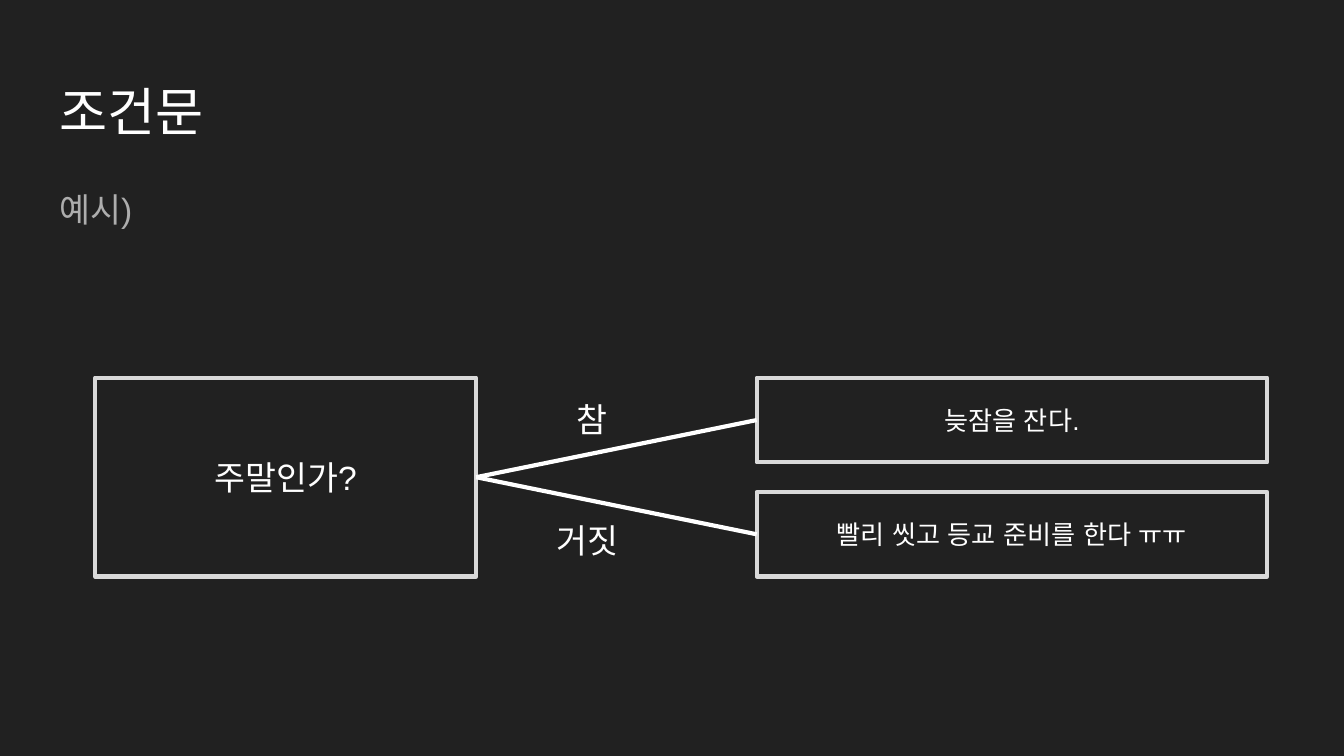
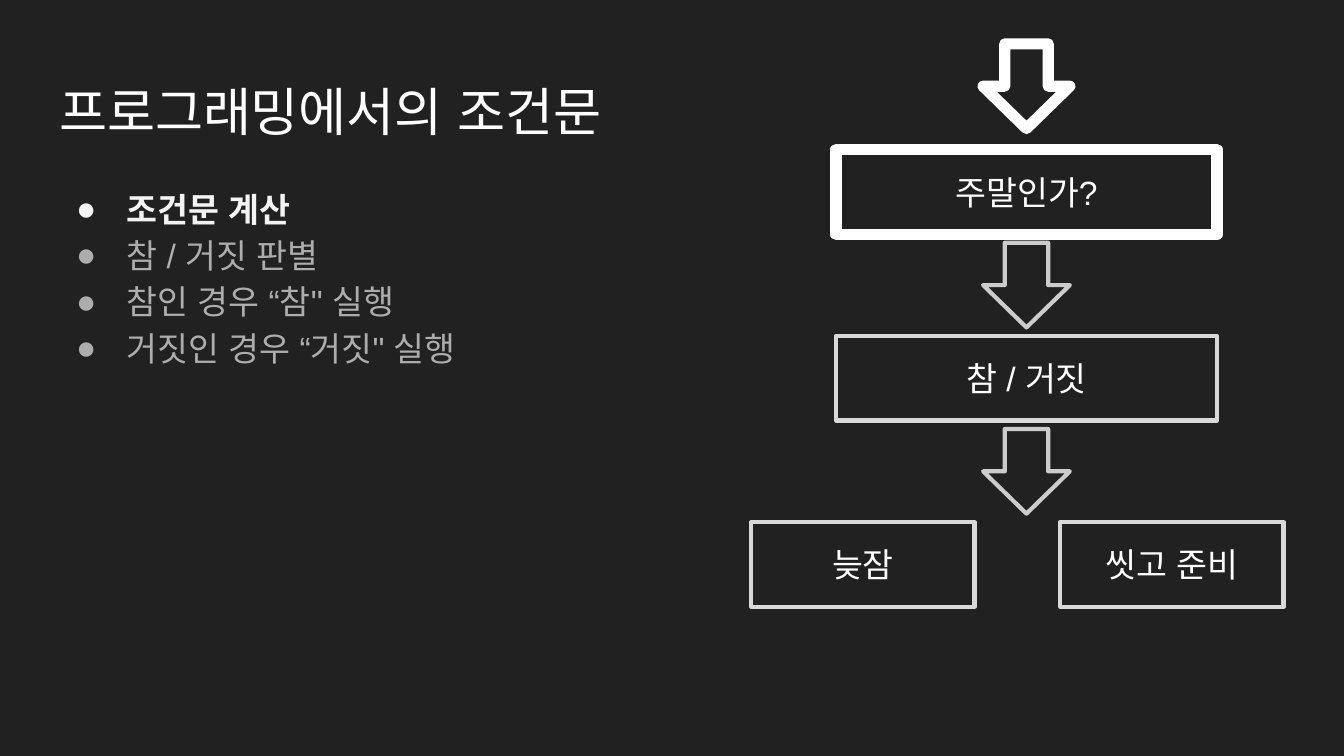
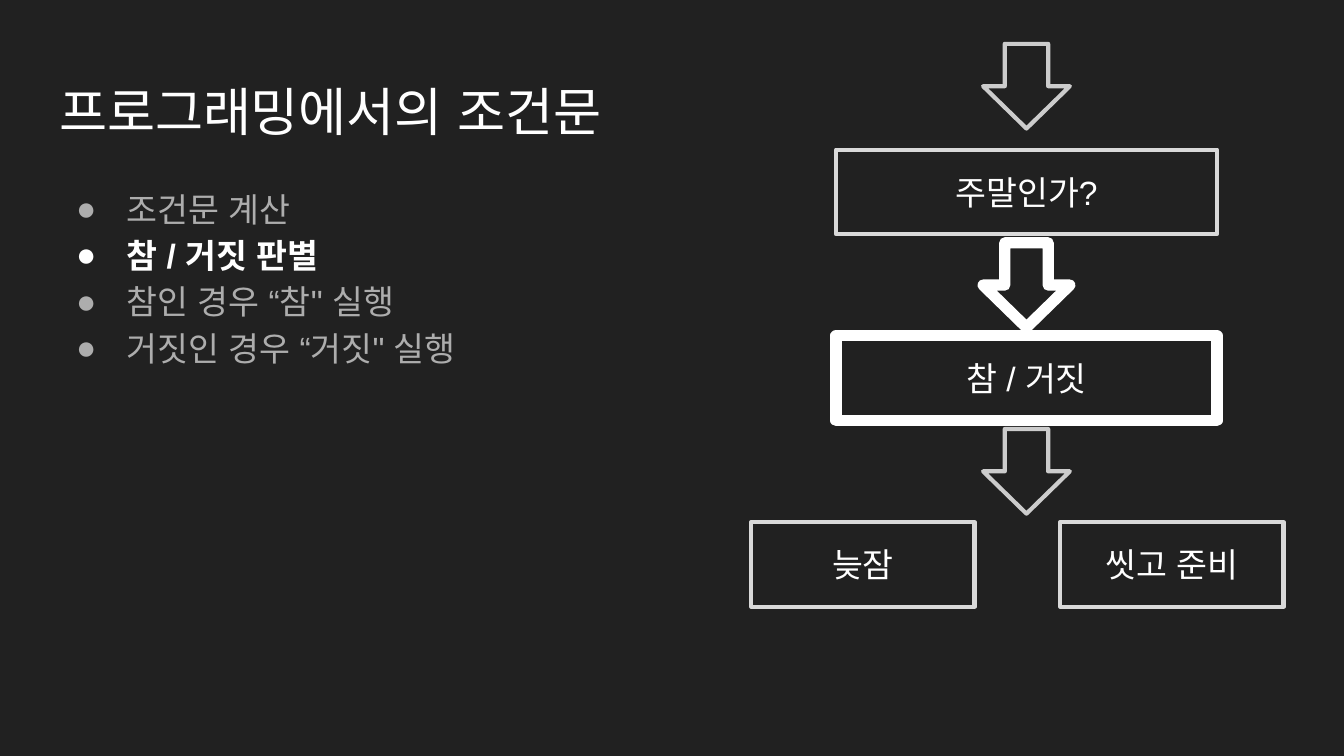
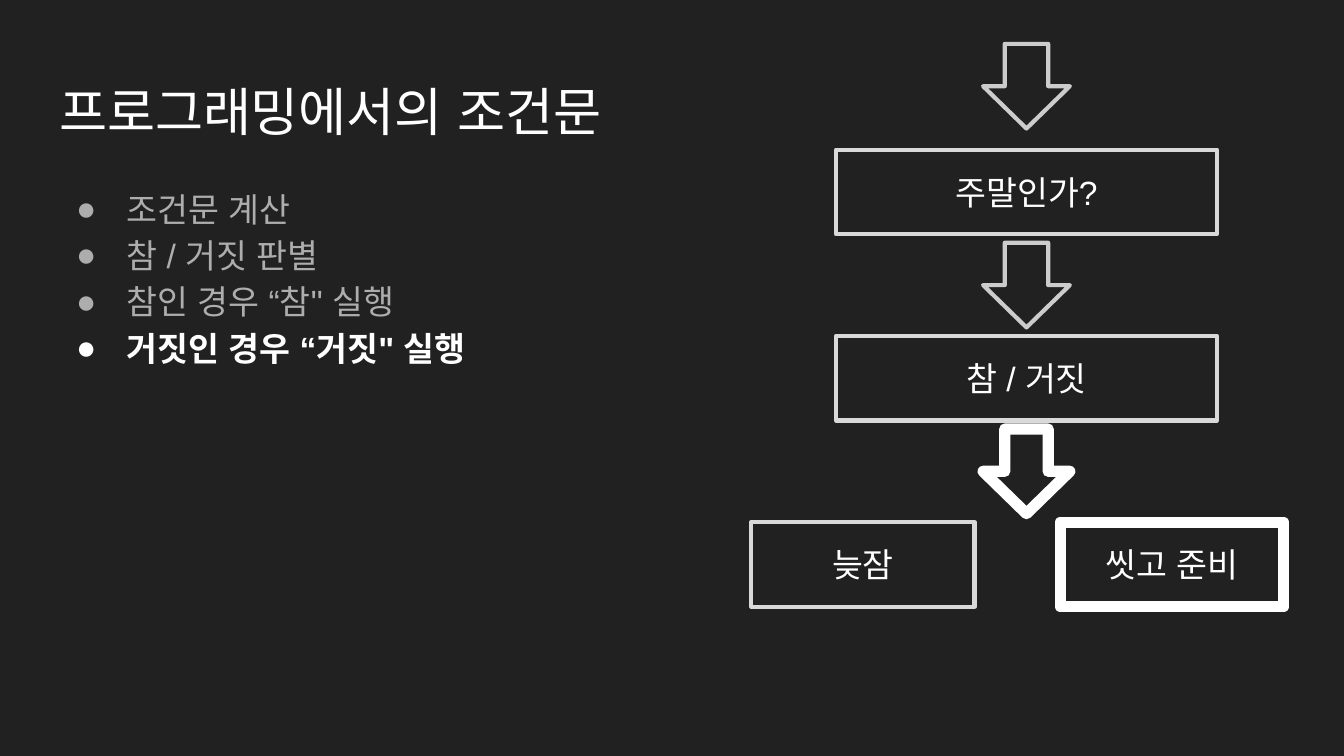
import pptx
import pptx.util
import pptx.dml.color
import pptx.enum.shapes
import pptx.enum.text
import pptx.oxml.ns
from lxml import etree
from pptx.util import Cm, Pt

RGBColor = pptx.dml.color.RGBColor
Shape = pptx.enum.shapes.MSO_SHAPE
Anchor = pptx.enum.text.MSO_ANCHOR
Align = pptx.enum.text.PP_ALIGN
qn = pptx.oxml.ns.qn

BACKGROUND = RGBColor(0x21, 0x21, 0x21)
WHITE = RGBColor(0xFF, 0xFF, 0xFF)
NEAR_WHITE = RGBColor(0xF3, 0xF3, 0xF3)
MUTED = RGBColor(0xAD, 0xAD, 0xAD)
BOX_LINE = RGBColor(0xD9, 0xD9, 0xD9)
ARROW_LINE = RGBColor(0xCC, 0xCC, 0xCC)

FONT = "Arial"
INSET = Cm(0.25)
THIN, THICK = Pt(2.25), Pt(6)
BOX_HEIGHT = 1.6

# left, top, width, height in centimetres
TITLE_BOX = (0.87, 1.24, 23.67, 1.59)
BODY_BOX = (0.87, 3.2, 23.67, 9.49)
BRANCH_BOX = (1.8, 7.14, 22.15, 3.76)
FLOW_BOX = (14.2, 0.83, 10.06, 10.64)

QUESTION, TRUE, FALSE = "주말인가?", "참", "거짓"
STEPS = ["조건문 계산", "참 / 거짓 판별", "참인 경우 “참\" 실행", "거짓인 경우 “거짓\" 실행"]


def set_frame(frame, anchor):
    frame.word_wrap = True
    frame.auto_size = pptx.enum.text.MSO_AUTO_SIZE.NONE
    frame.vertical_anchor = anchor
    frame.margin_left = frame.margin_right = INSET
    frame.margin_top = frame.margin_bottom = INSET


def write(para, text, size, color=WHITE, bold=False, align=Align.LEFT):
    para.alignment = align
    para.space_before = Pt(0)
    span = para.add_run()
    span.text = text
    span.font.name = FONT
    span.font.size = Pt(size)
    span.font.bold = bold
    span.font.color.rgb = color
    etree.SubElement(span.font._element, qn("a:ea"), typeface=FONT)


def set_bullet(para, color=None):
    """Give the paragraph a round bullet, or none when no colour is given."""
    props = para._p.get_or_add_pPr()
    if color is None:
        props.set("marL", "0")
        props.set("indent", "0")
        etree.SubElement(props, qn("a:buNone"))
        return
    props.set("marL", str(Cm(1.27)))
    props.set("indent", str(Cm(-0.95)))
    fill = etree.SubElement(props, qn("a:buClr"))
    etree.SubElement(fill, qn("a:srgbClr"), val=str(color))
    etree.SubElement(props, qn("a:buFont"), typeface=FONT)
    etree.SubElement(props, qn("a:buChar"), char="●")


def set_theme(deck):
    """Set the background and placeholder places that all slides share."""
    fill = deck.slide_master.background.fill
    fill.solid()
    fill.fore_color.rgb = BACKGROUND
    layout = deck.slide_layouts[1]
    for holder, place in zip(layout.placeholders, (TITLE_BOX, BODY_BOX)):
        holder.left, holder.top, holder.width, holder.height = map(Cm, place)
        set_frame(holder.text_frame, Anchor.TOP)
    return layout


def add_page(deck, layout, title):
    page = deck.slides.add_slide(layout)
    write(page.shapes.title.text_frame.paragraphs[0], title, 28)
    return page


def add_outline(page, kind, place, color, weight=THIN):
    shape = page.shapes.add_shape(kind, *map(Cm, place))
    shape.shadow.inherit = False
    shape.fill.background()
    shape.line.color.rgb = color
    shape.line.width = weight
    return shape


def add_box(page, place, text, size=18, active=False):
    style = (WHITE, THICK) if active else (BOX_LINE, THIN)
    box = add_outline(page, Shape.RECTANGLE, place, *style)
    set_frame(box.text_frame, Anchor.MIDDLE)
    write(box.text_frame.paragraphs[0], text, size, align=Align.CENTER)
    return box


def add_branch_label(page, left, top, text):
    label = page.shapes.add_textbox(Cm(left), Cm(top), Cm(2), Cm(1.33))
    set_frame(label.text_frame, Anchor.TOP)
    write(label.text_frame.paragraphs[0], text, 18)


def join_sides(page, start, end):
    """Draw a line from the right side of one box to the left side of another."""
    link = page.shapes.add_connector(
        pptx.enum.shapes.MSO_CONNECTOR.STRAIGHT, 0, 0, 0, 0)
    link.begin_connect(start, 3)
    link.end_connect(end, 1)
    link.line.color.rgb = WHITE
    link.line.width = THIN
    etree.SubElement(link._element.spPr, qn("a:effectLst"))


def draw_branch(page, place):
    left, top, width, height = place
    answer_width = 9.65
    answer_left = left + width - answer_width
    question = add_box(page, (left, top, 7.2, height), QUESTION)
    answers = [
        add_box(page, (answer_left, answer_top, answer_width, BOX_HEIGHT), text, 14)
        for answer_top, text in (
            (top, "늦잠을 잔다."),
            (top + height - BOX_HEIGHT, "빨리 씻고 등교 준비를 한다 ㅠㅠ"))]
    for answer in answers:
        join_sides(page, question, answer)
    add_branch_label(page, left + 8.47, top + 2.43, FALSE)
    add_branch_label(page, left + 8.85, top + 0.15, TRUE)


def draw_flow(page, place, active_box, active_arrow):
    """Draw the flow chart with one box and one arrow highlighted."""
    left, top, width, height = place
    step_width, outcome_width, arrow_width = 7.2, 4.22, 1.64
    step_left = left + 1.6
    outcome_left = left + width - outcome_width
    row_gap = 3.52
    rows = [top + height - BOX_HEIGHT - row_gap * back for back in (2, 1, 0)]
    boxes = [
        (step_left, rows[0], step_width, QUESTION),
        (step_left, rows[1], step_width, f"{TRUE} / {FALSE}"),
        (left, rows[2], outcome_width, "늦잠"),
        (outcome_left, rows[2], outcome_width, "씻고 준비"),
    ]
    for index, (box_left, box_top, box_width, text) in enumerate(boxes):
        add_box(page, (box_left, box_top, box_width, BOX_HEIGHT), text,
                active=index == active_box)

    arrow_left = step_left + (step_width - arrow_width) / 2
    arrow_tops = [top] + [row + BOX_HEIGHT + 0.16 for row in rows[:2]]
    for index, arrow_top in enumerate(arrow_tops):
        style = (WHITE, THICK) if index == active_arrow else (ARROW_LINE, THIN)
        add_outline(page, Shape.DOWN_ARROW,
                    (arrow_left, arrow_top, arrow_width, BOX_HEIGHT), *style)


def build_example(deck, layout):
    page = add_page(deck, layout, "조건문")
    para = page.placeholders[1].text_frame.paragraphs[0]
    set_bullet(para)
    para.line_spacing = 1.15
    para.space_after = Pt(16)
    write(para, "예시)", 18, MUTED)
    draw_branch(page, BRANCH_BOX)


def build_step(deck, layout, active_step, active_box, active_arrow, highlight):
    page = add_page(deck, layout, "프로그래밍에서의 조건문")
    frame = page.placeholders[1].text_frame
    for index, text in enumerate(STEPS):
        para = frame.add_paragraph() if index else frame.paragraphs[0]
        active = index == active_step
        color = highlight if active else MUTED
        set_bullet(para, color)
        para.line_spacing = 1.15
        write(para, text, 18, color, active)
    draw_flow(page, FLOW_BOX, active_box, active_arrow)


def main():
    deck = pptx.Presentation()
    deck.slide_width, deck.slide_height = Cm(25.4), Cm(14.29)
    layout = set_theme(deck)
    build_example(deck, layout)
    build_step(deck, layout, 0, 0, 0, NEAR_WHITE)
    build_step(deck, layout, 1, 1, 1, WHITE)
    build_step(deck, layout, 3, 3, 2, WHITE)
    deck.save("out.pptx")


if __name__ == "__main__":
    main()
